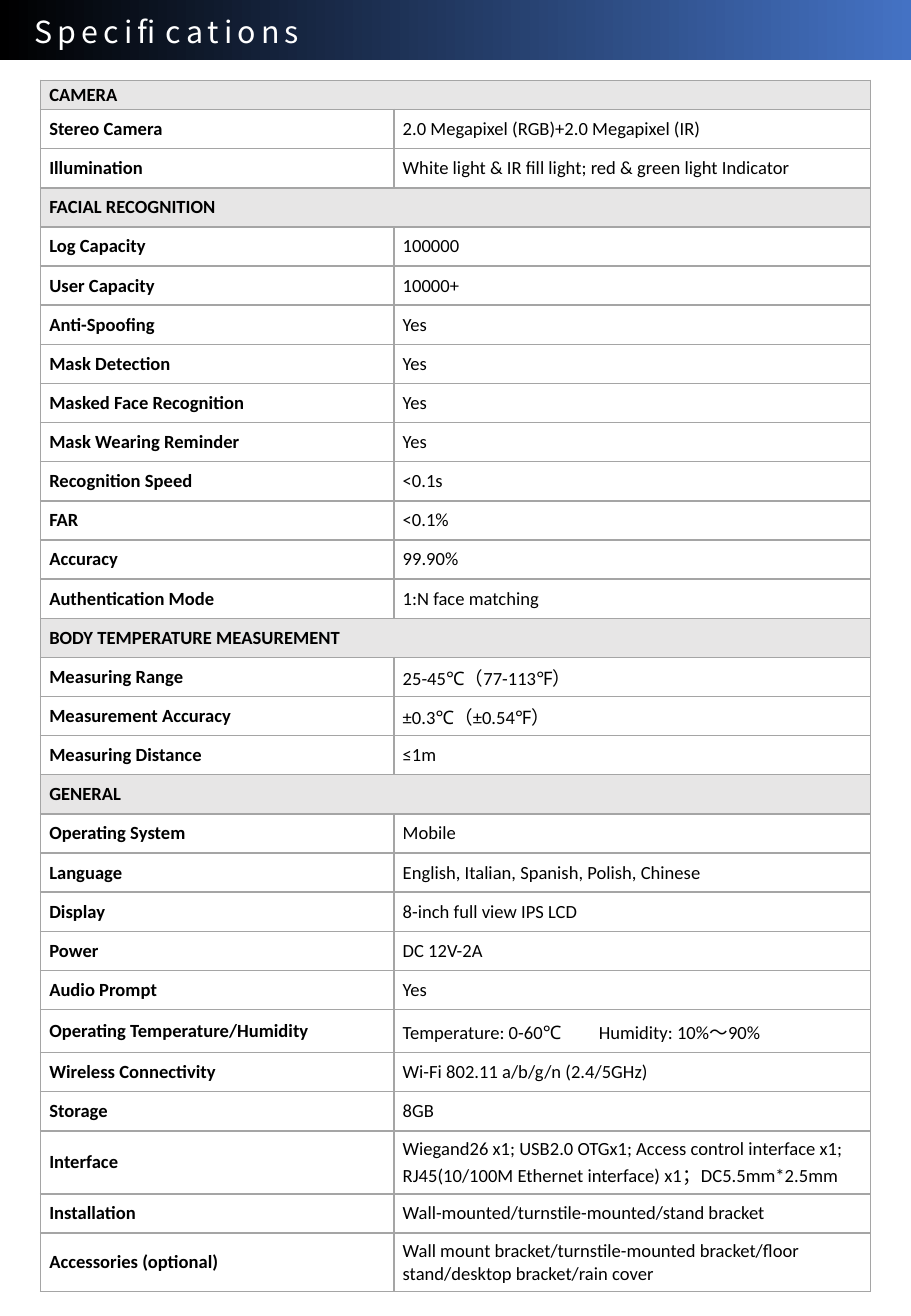
from lxml import etree
from pptx import Presentation
from pptx import util as u
from pptx.dml.color import RGBColor
from pptx.enum import shapes, text
from pptx.oxml import ns

COLORS = {
    "black": "000000",
    "white": "FFFFFF",
    "blue": "4472C4",
    "section": "E7E6E6",
    "border": "A5A5A5",
}
LATIN_FONT = "Calibri"
ASIAN_FONT = "Noto Sans CJK SC"
LABEL_SHARE = 0.426
SPECIAL_HEIGHTS = {
    "CAMERA": 0.61,
    "Operating Temperature/Humidity": 0.9,
    "Interface": 1.32,
    "Accessories (optional)": 1.22,
}
SECTIONS = {
    "CAMERA": [
        ("Stereo Camera", "2.0 Megapixel (RGB)+2.0 Megapixel (IR)"),
        ("Illumination", "White light & IR fill light; red & green light Indicator"),
    ],
    "FACIAL RECOGNITION": [
        ("Log Capacity", "100000"),
        ("User Capacity", "10000+"),
        ("Anti-Spoofing", "Yes"),
        ("Mask Detection", "Yes"),
        ("Masked Face Recognition", "Yes"),
        ("Mask Wearing Reminder", "Yes"),
        ("Recognition Speed", "<0.1s"),
        ("FAR", "<0.1%"),
        ("Accuracy", "99.90%"),
        ("Authentication Mode", "1:N face matching"),
    ],
    "BODY TEMPERATURE MEASUREMENT": [
        ("Measuring Range", "25-45℃（77-113℉）"),
        ("Measurement Accuracy", "±0.3℃（±0.54℉）"),
        ("Measuring Distance", "≤1m"),
    ],
    "GENERAL": [
        ("Operating System", "Mobile"),
        ("Language", "English, Italian, Spanish, Polish, Chinese"),
        ("Display", "8-inch full view IPS LCD"),
        ("Power", "DC 12V-2A"),
        ("Audio Prompt", "Yes"),
        ("Operating Temperature/Humidity", "Temperature: 0-60℃\tHumidity: 10%～90%"),
        ("Wireless Connectivity", "Wi-Fi 802.11 a/b/g/n (2.4/5GHz)"),
        ("Storage", "8GB"),
        ("Interface", "Wiegand26 x1; USB2.0 OTGx1; Access control interface x1;\n"
                      "RJ45(10/100M Ethernet interface) x1；DC5.5mm*2.5mm"),
        ("Installation", "Wall-mounted/turnstile-mounted/stand bracket"),
        ("Accessories (optional)", "Wall mount bracket/turnstile-mounted bracket/floor "
                                   "stand/desktop bracket/rain cover"),
    ],
}


def color(name):
    return RGBColor.from_string(COLORS[name])


def child(parent, tag, **attributes):
    return etree.SubElement(parent, ns.qn(tag), **attributes)


def add_run(paragraph, words, size, font, color_name, bold=False):
    run = paragraph.add_run()
    run.text = words
    run.font.size = u.Pt(size)
    run.font.name = font
    run.font.bold = bold
    run.font.color.rgb = color(color_name)
    child(run.font._element, "a:ea", typeface=ASIAN_FONT)
    return run


def add_banner(slide, left, top, width, height):
    band = slide.shapes.add_shape(
        shapes.MSO_SHAPE.RECTANGLE, u.Cm(left), u.Cm(top), u.Cm(width), u.Cm(height))
    band.shadow.inherit = False
    band.line.fill.background()
    band.fill.gradient()
    band.fill.gradient_angle = 0
    for stop, name in zip(band.fill.gradient_stops, ("black", "blue")):
        stop.color.rgb = color(name)

    title = slide.shapes.add_textbox(
        u.Cm(left + 0.48), u.Cm(top + 0.14), u.Cm(6.7), u.Cm(1.03))
    title.text_frame.word_wrap = False
    title.text_frame.auto_size = text.MSO_AUTO_SIZE.SHAPE_TO_FIT_TEXT
    run = add_run(title.text_frame.paragraphs[0], "Specifications", 18, ASIAN_FONT, "white")
    run.font._element.set("spc", "300")


def style_cell(cell, fill_name=None):
    cell.vertical_anchor = text.MSO_ANCHOR.MIDDLE
    cell.margin_left = cell.margin_right = u.Cm(0.18)
    cell.margin_top = cell.margin_bottom = 0
    properties = cell._tc.get_or_add_tcPr()
    for side in ("a:lnL", "a:lnR", "a:lnT", "a:lnB"):
        line = child(properties, side, w=str(u.Pt(1)))
        child(child(line, "a:solidFill"), "a:srgbClr", val=COLORS["border"])
    if fill_name:
        cell.fill.solid()
        cell.fill.fore_color.rgb = color(fill_name)
    else:
        cell.fill.background()


def write_cell(cell, words, bold):
    paragraph = cell.text_frame.paragraphs[0]
    if "\t" in words:
        tabs = child(paragraph._p.get_or_add_pPr(), "a:tabLst")
        child(tabs, "a:tab", pos=str(u.Cm(4.1)), algn="l")
    for index, line in enumerate(words.split("\n")):
        if index:
            paragraph.add_line_break()
        add_run(paragraph, line, 11, LATIN_FONT, "black", bold)


def add_specifications(slide, left, top, width, height):
    rows = []
    for section, entries in SECTIONS.items():
        rows.append((section, None))
        rows.extend(entries)
    regular = (height - sum(SPECIAL_HEIGHTS.values())) / (len(rows) - len(SPECIAL_HEIGHTS))

    table = slide.shapes.add_table(
        len(rows), 2, u.Cm(left), u.Cm(top), u.Cm(width), u.Cm(height)).table
    table.first_row = table.horz_banding = False
    table.columns[0].width = u.Cm(width * LABEL_SHARE)
    table.columns[1].width = u.Cm(width * (1 - LABEL_SHARE))

    for index, (label, value) in enumerate(rows):
        table.rows[index].height = u.Cm(SPECIAL_HEIGHTS.get(label, regular))
        label_cell, value_cell = table.cell(index, 0), table.cell(index, 1)
        for cell in (label_cell, value_cell):
            style_cell(cell, "section" if value is None else None)
        write_cell(label_cell, label, True)
        if value is None:
            label_cell.merge(value_cell)
        else:
            write_cell(value_cell, value, False)


def main():
    presentation = Presentation()
    presentation.slide_width = u.Cm(19.05)
    presentation.slide_height = u.Cm(27.51)
    slide = presentation.slides.add_slide(presentation.slide_layouts[6])
    add_banner(slide, 0, 0, 19.05, 1.26)
    add_specifications(slide, 0.85, 1.68, 17.35, 25.32)
    presentation.save("out.pptx")


if __name__ == "__main__":
    main()
